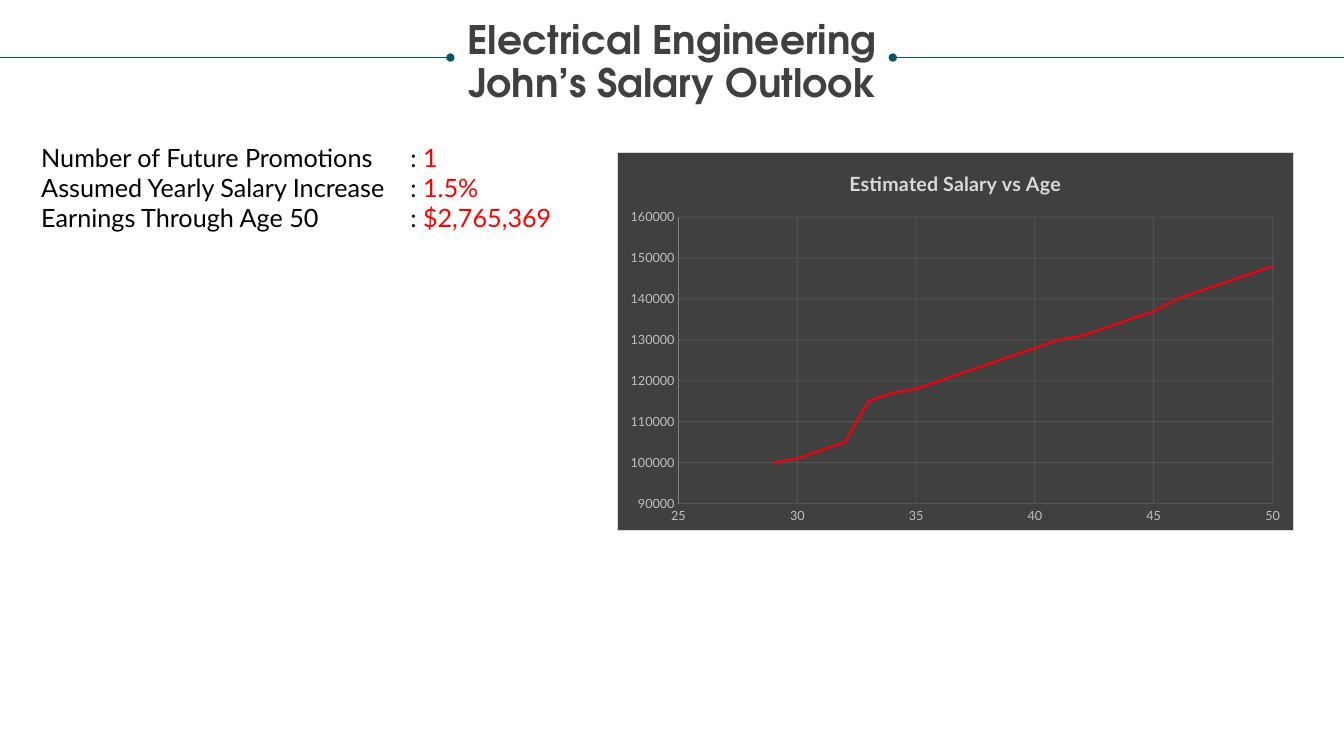
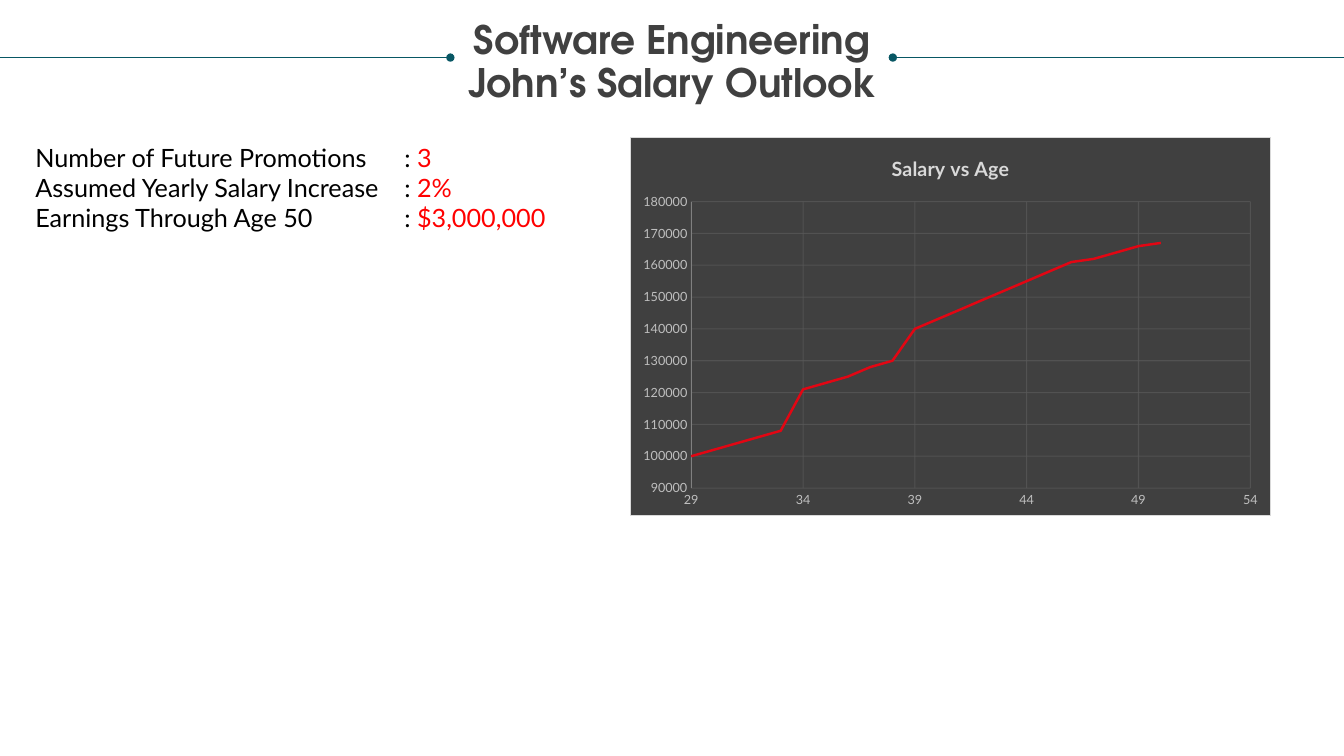
import dataclasses

import lxml.etree
import pptx
import pptx.chart.axis
import pptx.chart.chart
import pptx.chart.data
import pptx.dml.color
import pptx.dml.line
import pptx.enum.chart
import pptx.enum.shapes
import pptx.enum.text
import pptx.oxml
import pptx.oxml.ns
import pptx.presentation
import pptx.slide
import pptx.text.text
import pptx.util

Cm = pptx.util.Cm
Pt = pptx.util.Pt
ChartType = pptx.enum.chart.XL_CHART_TYPE


@dataclasses.dataclass(frozen=True)
class Theme:
    """Colours, fonts, type sizes and line widths of the deck."""

    ink: str = "000000"
    heading: str = "404040"
    rule: str = "085764"
    highlight: str = "FF0000"
    panel: str = "404040"
    panel_border: str = "D9D9D9"
    chart_title: str = "D9D9D9"
    axis_label: str = "BFBFBF"
    axis_line: str = "808080"
    grid: str = "595959"
    curve: str = "E20613"
    heading_font: str = "TeX Gyre Adventor"
    body_font: str = "Lato"
    heading_size: float = 28
    body_size: float = 18
    chart_title_size: float = 14
    chart_size: float = 10
    axis_size: float = 9
    rule_width: float = 0.5
    grid_width: float = 0.75
    curve_width: float = 1.75


@dataclasses.dataclass(frozen=True)
class Box:
    """Place and size of an object in centimetres."""

    left: float
    top: float
    width: float
    height: float

    def lengths(self) -> tuple[pptx.util.Length, ...]:
        """Return the four measures as lengths."""
        return Cm(self.left), Cm(self.top), Cm(self.width), Cm(self.height)


@dataclasses.dataclass(frozen=True)
class Scale:
    """Range and step of a chart axis."""

    minimum: float
    maximum: float
    step: float


@dataclasses.dataclass(frozen=True)
class SalaryChart:
    """Salary by age, one value a year from the first age."""

    title: str
    kind: ChartType
    box: Box
    ages: Scale
    salaries: Scale
    thousands: tuple[int, ...]


@dataclasses.dataclass(frozen=True)
class Outlook:
    """Content of one salary slide."""

    field: str
    facts_left: float
    facts: tuple[str, str, str]
    chart: SalaryChart


THEME = Theme()
TITLE_BOX = Box(0.64, 0.53, 32.59, 3.2)
RULE_TOP = 1.45
RULES = ((0, 11.35), (33.87, 22.5))
COLON_TAB = 9.3
FIRST_AGE = 29
FACT_LABELS = (
    "Number of Future Promotions",
    "Assumed Yearly Salary Increase",
    "Earnings Through Age 50",
)
OUTLOOKS = (
    Outlook(
        "Electrical Engineering", 0.79, ("1", "1.5%", "$2,765,369"),
        SalaryChart(
            "Estimated Salary vs Age", ChartType.XY_SCATTER_SMOOTH_NO_MARKERS,
            Box(15.54, 3.84, 17.07, 9.55), Scale(25, 50, 5), Scale(90000, 160000, 10000),
            (100, 101, 103, 105, 115, 117, 118, 120, 122, 124, 126,
             128, 130, 131, 133, 135, 137, 140, 142, 144, 146, 148),
        ),
    ),
    Outlook(
        "Software Engineering", 0.64, ("3", "2%", "$3,000,000"),
        SalaryChart(
            "Salary vs Age", ChartType.XY_SCATTER_LINES_NO_MARKERS,
            Box(15.88, 3.45, 16.15, 9.55), Scale(29, 54, 5), Scale(90000, 180000, 10000),
            (100, 102, 104, 106, 108, 121, 123, 125, 128, 130, 140,
             143, 146, 149, 152, 155, 158, 161, 162, 164, 166, 167),
        ),
    ),
)


def rgb(color: str) -> pptx.dml.color.RGBColor:
    """Turn a hexadecimal colour into an RGB colour."""
    return pptx.dml.color.RGBColor.from_string(color)


def format_font(font: pptx.text.text.Font, *, size: float, color: str,
                name: str = THEME.body_font, bold: bool = False) -> None:
    """Set the look of a font."""
    font.size, font.name, font.bold = Pt(size), name, bold
    font.color.rgb = rgb(color)


def write(paragraph: pptx.text.text._Paragraph, text: str, *,
          size: float = THEME.body_size, color: str = THEME.ink,
          name: str = THEME.body_font, bold: bool = False) -> None:
    """Append a formatted run to a paragraph."""
    run = paragraph.add_run()
    run.text = text
    format_font(run.font, size=size, color=color, name=name, bold=bold)


def format_line(line: pptx.dml.line.LineFormat, color: str, width: float) -> None:
    """Set colour and width of a line."""
    line.color.rgb = rgb(color)
    line.width = Pt(width)


def take_paragraph(frame: pptx.text.text.TextFrame, index: int) -> pptx.text.text._Paragraph:
    """Return the first paragraph, or a new one after it."""
    return frame.paragraphs[0] if index == 0 else frame.add_paragraph()


def add_title(slide: pptx.slide.Slide, lines: tuple[str, ...]) -> None:
    """Place the centred heading between its two rules."""
    title = slide.shapes.title
    title.left, title.top, title.width, title.height = TITLE_BOX.lengths()
    frame = title.text_frame
    frame.margin_left = frame.margin_right = frame.margin_top = frame.margin_bottom = 0
    frame.vertical_anchor = pptx.enum.text.MSO_ANCHOR.TOP
    frame.auto_size = pptx.enum.text.MSO_AUTO_SIZE.NONE
    frame.word_wrap = True
    for index, line in enumerate(lines):
        paragraph = take_paragraph(frame, index)
        paragraph.alignment = pptx.enum.text.PP_ALIGN.CENTER
        paragraph.line_spacing = 0.9
        paragraph.space_before = Pt(0)
        write(paragraph, line, size=THEME.heading_size, color=THEME.heading,
              name=THEME.heading_font, bold=True)


def add_rule(slide: pptx.slide.Slide, start: float, end: float) -> None:
    """Draw a rule from the slide edge to a dot beside the heading."""
    rule = slide.shapes.add_connector(
        pptx.enum.shapes.MSO_CONNECTOR.STRAIGHT,
        Cm(start), Cm(RULE_TOP), Cm(end), Cm(RULE_TOP))
    format_line(rule.line, THEME.rule, THEME.rule_width)
    qn = pptx.oxml.ns.qn
    properties = rule.element.spPr
    lxml.etree.SubElement(properties.find(qn("a:ln")), qn("a:tailEnd"), type="oval")
    lxml.etree.SubElement(properties, qn("a:effectLst"))


def add_facts(slide: pptx.slide.Slide, left: float, values: tuple[str, ...]) -> None:
    """List the salary facts with their colons aligned on a tab stop."""
    shape = slide.shapes.add_textbox(*Box(left, 3.45, 16.15, 3.33).lengths())
    frame = shape.text_frame
    frame.word_wrap = True
    qn = pptx.oxml.ns.qn
    for index, (label, value) in enumerate(zip(FACT_LABELS, values)):
        paragraph = take_paragraph(frame, index)
        tabs = lxml.etree.SubElement(paragraph._p.get_or_add_pPr(), qn("a:tabLst"))
        lxml.etree.SubElement(tabs, qn("a:tab"), pos=str(Cm(COLON_TAB)), algn="l")
        write(paragraph, f"{label}\t: ")
        write(paragraph, value, color=THEME.highlight)


def format_axis(axis: pptx.chart.axis._BaseAxis, scale: Scale) -> None:
    """Set the range, labels and translucent grid of an axis."""
    axis.minimum_scale, axis.maximum_scale = scale.minimum, scale.maximum
    axis.major_unit = scale.step
    axis.major_tick_mark = axis.minor_tick_mark = pptx.enum.chart.XL_TICK_MARK.NONE
    axis.has_major_gridlines = True
    format_font(axis.tick_labels.font, size=THEME.axis_size, color=THEME.axis_label)
    format_line(axis.major_gridlines.format.line, THEME.grid, THEME.grid_width)
    color = axis.major_gridlines.element.xpath("c:majorGridlines//a:srgbClr")[0]
    lxml.etree.SubElement(color, pptx.oxml.ns.qn("a:alpha"), val="75000")


def fill_panel(chart: pptx.chart.chart.Chart) -> None:
    """Give the chart area its dark fill and thin border."""
    panel = pptx.oxml.parse_xml(
        f'<c:spPr {pptx.oxml.ns.nsdecls("c", "a")}>'
        f'<a:solidFill><a:srgbClr val="{THEME.panel}"/></a:solidFill>'
        f'<a:ln w="{Pt(THEME.grid_width)}"><a:solidFill>'
        f'<a:srgbClr val="{THEME.panel_border}"/></a:solidFill></a:ln></c:spPr>')
    chart.element.find(pptx.oxml.ns.qn("c:chart")).addnext(panel)


def add_salary_chart(slide: pptx.slide.Slide, content: SalaryChart) -> None:
    """Draw salary against age on a dark panel."""
    data = pptx.chart.data.XyChartData()
    points = data.add_series("Series 1")
    for age, salary in enumerate(content.thousands, FIRST_AGE):
        points.add_data_point(age, salary * 1000)
    chart = slide.shapes.add_chart(content.kind, *content.box.lengths(), data).chart
    format_font(chart.font, size=THEME.chart_size, color=THEME.ink)
    fill_panel(chart)
    chart.has_legend = False
    chart.has_title = True
    chart.chart_title.include_in_layout = False
    write(chart.chart_title.text_frame.paragraphs[0], content.title,
          size=THEME.chart_title_size, color=THEME.chart_title, bold=True)
    format_axis(chart.category_axis, content.ages)
    chart.category_axis.format.line.fill.background()
    format_axis(chart.value_axis, content.salaries)
    format_line(chart.value_axis.format.line, THEME.axis_line, THEME.grid_width)
    plot = chart.plots[0]
    plot.vary_by_categories = False
    format_line(plot.series[0].format.line, THEME.curve, THEME.curve_width)


def add_outlook(presentation: pptx.presentation.Presentation, outlook: Outlook) -> None:
    """Build one salary slide."""
    slide = presentation.slides.add_slide(presentation.slide_layouts.get_by_name("Title Only"))
    add_title(slide, (outlook.field, "John’s Salary Outlook"))
    for start, end in RULES:
        add_rule(slide, start, end)
    add_facts(slide, outlook.facts_left, outlook.facts)
    add_salary_chart(slide, outlook.chart)


def main() -> None:
    """Build and save the deck."""
    presentation = pptx.Presentation()
    presentation.slide_width, presentation.slide_height = Cm(33.87), Cm(19.05)
    for outlook in OUTLOOKS:
        add_outlook(presentation, outlook)
    presentation.save("out.pptx")


if __name__ == "__main__":
    main()
